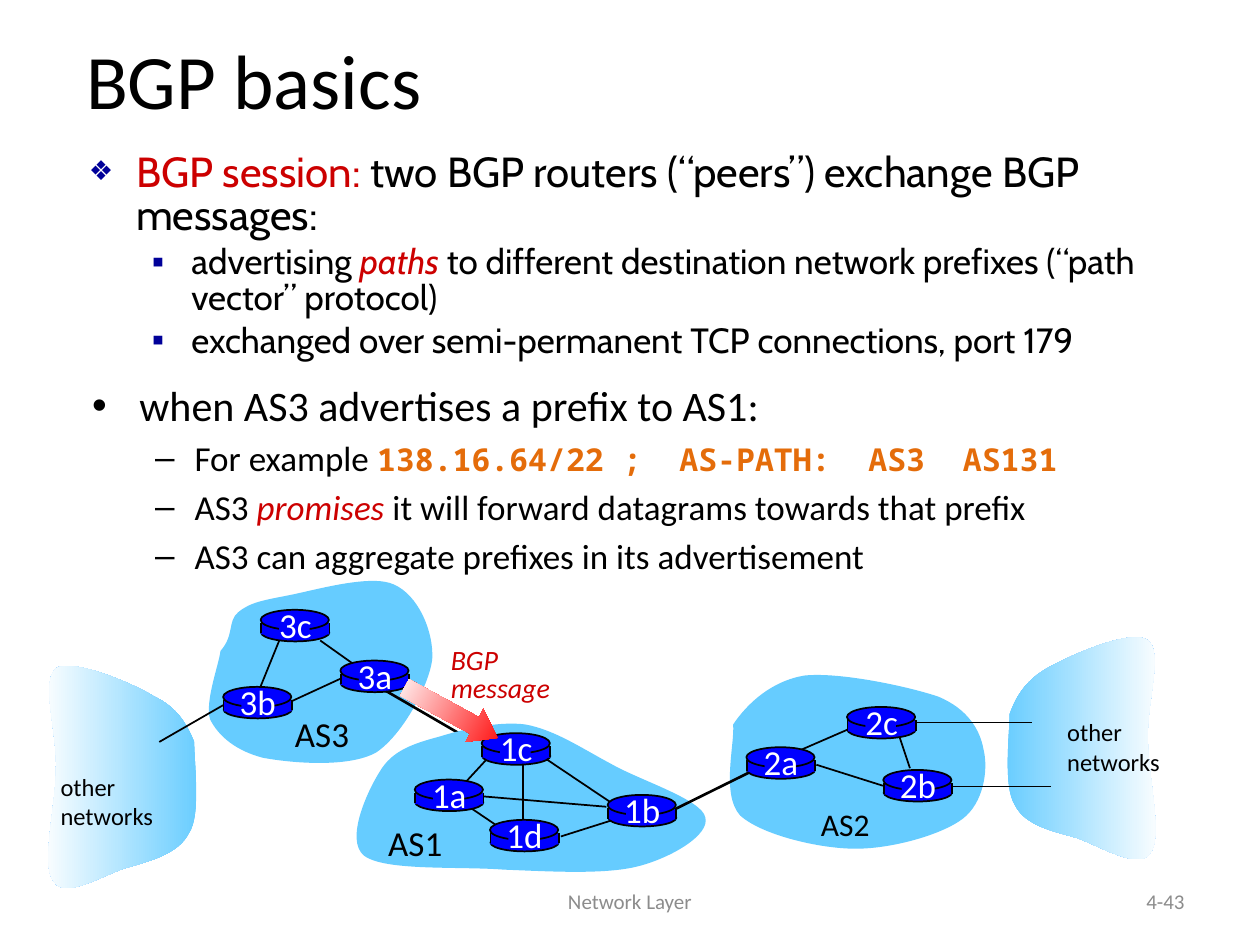
"""Builds the BGP basics slide: title, two bullet lists and a diagram of connected networks."""
from lxml.etree import SubElement
from pptx import Presentation
from pptx.dml.color import RGBColor
from pptx.enum.shapes import MSO_CONNECTOR, MSO_SHAPE
from pptx.enum.text import MSO_ANCHOR, MSO_AUTO_SIZE, PP_ALIGN
from pptx.oxml.ns import qn
from pptx.util import Pt

rgb = RGBColor.from_string
BLACK, WHITE, RED, NAVY, BLUE, SKY = "000000", "FFFFFF", "CC0000", "000099", "0000FF", "66CCFF"
ORANGE, GREY = "E46C0A", "8C8C8C"
LEFT, CENTER, RIGHT = PP_ALIGN.LEFT, PP_ALIGN.CENTER, PP_ALIGN.RIGHT
MONO = "Noto Sans Mono"


def add_run(p, text, size, color, font="Calibri", italic=False):
    r = p.add_run()
    r.text = text
    r.font.size, r.font.name = Pt(size), font
    r.font.bold, r.font.italic = font == MONO, italic
    r.font.color.rgb = rgb(color)


def add_line(x1, y1, x2, y2, width=1):
    line = s.shapes.add_connector(MSO_CONNECTOR.STRAIGHT, Pt(x1), Pt(y1), Pt(x2), Pt(y2))
    line.line.color.rgb = rgb(BLACK)
    line.line.width = Pt(width)
    SubElement(line._element.spPr, qn("a:effectLst"))


prs = Presentation()
prs.slide_width, prs.slide_height = Pt(720), Pt(540)
s = prs.slides.add_slide(prs.slide_layouts[1])
s.background.fill.solid()
s.background.fill.fore_color.rgb = rgb(WHITE)

title, body = s.shapes.title, s.placeholders[1]
title.left, title.top, title.width, title.height = Pt(42), Pt(0), Pt(612), Pt(90)
title.text_frame.vertical_anchor = MSO_ANCHOR.MIDDLE
p = title.text_frame.paragraphs[0]
p.alignment = LEFT
add_run(p, "BGP basics", 44, BLACK)

body.left, body.top, body.width, body.height = Pt(45.5), Pt(213.25), Pt(640), Pt(185)
session = s.shapes.add_textbox(Pt(43.75), Pt(84.25), Pt(670), Pt(157))
lists = [
    (session, "Cabin", 0.85, NAVY, [
        (0, "❖", 65, [("BGP session: ", RED),
                      ("two BGP routers (“peers”) exchange BGP messages:", BLACK)]),
        (1, "▪", 100, [("advertising ", BLACK), ("paths ", RED, "Cabin", True),
                       ("to different destination network prefixes (“path vector” protocol)", BLACK)]),
        (1, "▪", 100, [("exchanged over semi-permanent TCP connections, port 179", BLACK)])]),
    (body, "Calibri", 1.0, BLACK, [
        (0, "•", 100, [("when AS3 advertises a prefix to AS1:", BLACK)]),
        (1, "–", 100, [("For example ", BLACK),
                       ("138.16.64/22 ;  AS-PATH:  AS3  AS131", ORANGE, MONO)]),
        (1, "–", 100, [("AS3 ", BLACK), ("promises", RED, "Calibri", True),
                       (" it will forward datagrams towards that prefix", BLACK)]),
        (1, "–", 100, [("AS3 can aggregate prefixes in its advertisement", BLACK)])]),
]
for box, font, spacing, bullet_color, items in lists:
    tf = box.text_frame
    tf.word_wrap, tf.auto_size = True, MSO_AUTO_SIZE.NONE
    for i, (level, bullet, bullet_size, runs) in enumerate(items):
        p = tf.add_paragraph() if i else tf.paragraphs[0]
        size = 20 if level else 24
        p.level, p.line_spacing, p.space_before = level, spacing, Pt(size * 0.2)
        pPr = p._p.get_or_add_pPr()
        pPr.set("marL", str(Pt(58.5 if level else 27)))
        pPr.set("indent", str(Pt(-22.5 if level else -27)))
        SubElement(SubElement(pPr, qn("a:buClr")), qn("a:srgbClr"), val=bullet_color)
        SubElement(pPr, qn("a:buSzPct"), val=str(bullet_size * 1000))
        SubElement(pPr, qn("a:buFont"), typeface="Arial")
        SubElement(pPr, qn("a:buChar"), char=bullet)
        for text, color, *style in runs:
            run_font, italic = style + [font, False][len(style):]
            add_run(p, text, 18 if run_font == MONO else size, color, run_font, italic)

other = [(577, 408), (581, 397), (587, 388), (600, 381), (613, 374), (647, 359), (656, 366),
         (665, 373), (655, 402), (656, 423), (656, 444), (665, 479), (657, 488), (651, 497),
         (629, 484), (616, 479), (602, 475), (586, 472), (580, 460), (573, 449), (577, 419)]
as1 = [(217, 441), (224, 429), (236, 425), (251, 421), (264, 417), (284, 412), (300, 414),
       (317, 417), (333, 428), (350, 437), (366, 446), (401, 457), (403, 467), (406, 477),
       (384, 490), (365, 495), (346, 500), (314, 498), (288, 497), (262, 495), (220, 498),
       (208, 489), (197, 480), (210, 452)]
as2 = [(419, 414), (427, 402), (441, 389), (460, 386), (480, 384), (518, 392), (536, 398),
       (553, 405), (560, 417), (562, 428), (565, 440), (562, 459), (550, 468), (538, 477),
       (510, 485), (489, 485), (468, 485), (435, 477), (423, 466), (412, 454), (420, 425)]
as3 = [(126, 372), (134, 363), (130, 355), (136, 350), (143, 344), (151, 343), (166, 340),
       (181, 337), (212, 328), (225, 334), (239, 340), (248, 361), (247, 377), (245, 392),
       (230, 420), (215, 430), (199, 439), (166, 436), (150, 433), (135, 429), (125, 421),
       (120, 411), (117, 401), (125, 380)]
mirrored = [(688 - x, y + 16.5) for x, y in other]
for outline, angle in [(other, 0), (as2, None), (as3, None), (as1, None), (mirrored, 180)]:
    if outline is as1:
        add_line(220, 394.5, 276, 427, 1.5)
    builder = s.shapes.build_freeform(*outline[0], scale=Pt(1))
    builder.add_line_segments(outline[1:] + outline[:1], close=True)
    sp = builder.convert_to_shape()
    steps = list(sp._element.iter(qn("a:lnTo")))
    for i in range(0, len(steps), 3):
        steps[i].tag = qn("a:cubicBezTo")
        for step in steps[i + 1:i + 3]:
            steps[i].append(step[0])
            step.getparent().remove(step)
    sp.shadow.inherit = False
    sp.line.fill.background()
    if angle is None:
        sp.fill.solid()
        sp.fill.fore_color.rgb = rgb(SKY)
    else:
        sp.fill.gradient()
        sp.fill.gradient_angle = angle
        for stop, position, color in zip(sp.fill.gradient_stops, (0, 1), (SKY, WHITE)):
            stop.position, stop.color.rgb = position, rgb(color)

links = [
    (166, 401, 197.5, 386.5), (202, 379.5, 183, 366), (160, 365, 148, 394.5), (127.5, 403, 91, 424),
    (278.5, 433.5, 266.5, 446.5), (299, 436, 299, 472), (311, 433, 350.5, 459.5),
    (350.5, 468.5, 320.5, 478), (346.5, 461, 275, 455), (268, 461, 283.5, 471.5),
    (452, 431, 486.5, 416), (466.5, 437, 504.5, 449), (514, 421, 520, 439),
    (522.5, 412.75, 589.5, 412.75, 0.75), (542, 449.25, 600.5, 449.25, 0.75),
    (386.5, 462, 428, 441.5, 1.5),
]
for link in links:
    add_line(*link)

labels = [
    ("Network Layer", 246, 500.5, 228, 29, 12, GREY, CENTER),
    ("4-43", 516, 500.5, 168, 29, 12, GREY, RIGHT),
    ("AS3", 161.5, 403.75, 53, 31, 20, BLACK, LEFT),
    ("AS1", 214.75, 465.75, 53, 31, 20, BLACK, LEFT),
    ("AS2", 462, 456.5, 48, 29, 18, BLACK, LEFT),
    ("other\nnetworks", 602.75, 406.25, 71, 41, 14, BLACK, LEFT),
    ("other\nnetworks", 27.5, 437.5, 71, 41, 14, BLACK, LEFT),
    ("BGP\nmessage", 250.5, 366.5, 79, 40, 16, RED, LEFT),
]
routers = {"3b": (127.5, 392.5), "3c": (149, 348.5), "3a": (194.5, 377.5), "1c": (275.25, 419),
           "1a": (237, 445.5), "1d": (280, 468.5), "1b": (347.25, 454.25), "2a": (426.5, 427),
           "2c": (484, 404), "2b": (504.75, 440)}
OVAL, RECT = MSO_SHAPE.OVAL, MSO_SHAPE.RECTANGLE
for name, (x, y) in routers.items():
    for kind, dx, dy, w, h in [(OVAL, 0.25, 8, 39, 10), (RECT, 0.25, 7.5, 39, 6.5),
                               (OVAL, 0, 0, 39, 11.5), (RECT, 10.5, 2, 17.5, 14)]:
        sp = s.shapes.add_shape(kind, Pt(x + dx), Pt(y + dy), Pt(w), Pt(h))
        sp.shadow.inherit = False
        sp.fill.solid()
        sp.fill.fore_color.rgb = rgb(BLUE)
        if kind == OVAL:
            sp.line.color.rgb = rgb(BLACK)
            sp.line.width = Pt(1)
        else:
            sp.line.fill.background()
    for side in (0.25, 39.25):
        add_line(x + side, y + 7.5, x + side, y + 13.5)
    labels.append((name, x + 2.25, y - 7.25, 35, 31, 20, WHITE, CENTER))

arrow = s.shapes.add_shape(MSO_SHAPE.LEFT_ARROW, Pt(227.5), Pt(396.5), Pt(60.5), Pt(21.5))
arrow.rotation = 208.5
arrow.adjustments[0], arrow.adjustments[1] = 0.5, 0.7
arrow.shadow.inherit = False
arrow.line.fill.background()
arrow.fill.gradient()
arrow.fill.gradient_angle = 0
for stop, position, color in zip(arrow.fill.gradient_stops, (0, 1), ("FF0000", WHITE)):
    stop.position, stop.color.rgb = position, rgb(color)

for text, x, y, w, h, size, color, align in labels:
    tf = s.shapes.add_textbox(Pt(x), Pt(y), Pt(w), Pt(h)).text_frame
    tf.word_wrap = size == 12
    tf.vertical_anchor = MSO_ANCHOR.MIDDLE if size == 12 else MSO_ANCHOR.TOP
    for i, row in enumerate(text.split("\n")):
        p = tf.add_paragraph() if i else tf.paragraphs[0]
        p.alignment = align
        p.line_spacing = 0.85 if color == RED else 1.0
        add_run(p, row, size, color, italic=color == RED)

prs.save("out.pptx")
